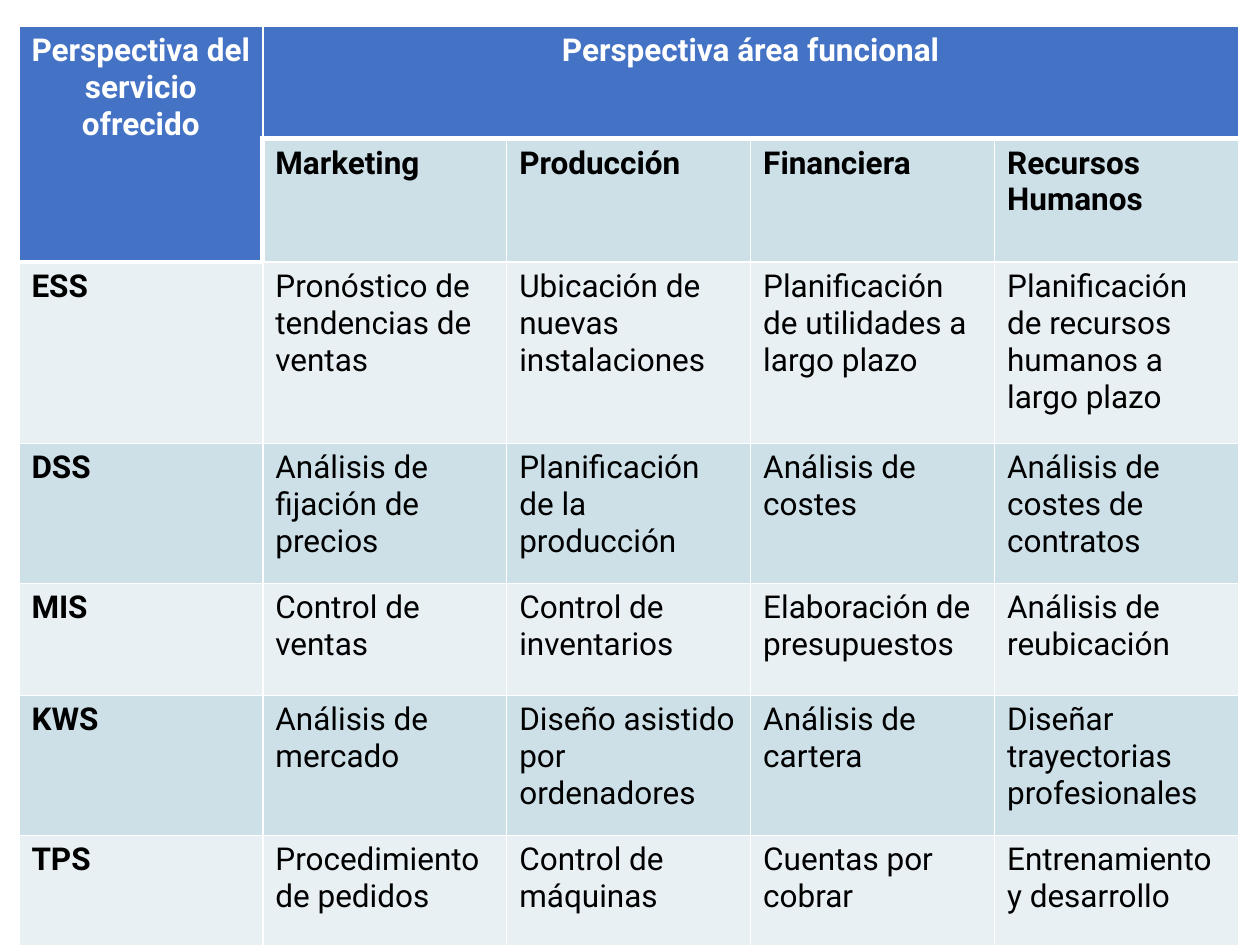
from lxml import etree
from pptx import Presentation
from pptx.dml.color import RGBColor
from pptx.enum import text
from pptx.oxml.ns import qn
from pptx.util import Inches, Pt

BLUE, LIGHT, PALE, WHITE, BLACK = "4472C4", "CDE0E8", "E8F0F4", "FFFFFF", "000000"


def rgb(value):
    return RGBColor.from_string(value)


def set_borders(cell, **widths):
    """Draw white borders, 1 pt unless a width is given for L, R, T or B."""
    properties = cell._tc.get_or_add_tcPr()
    for index, side in enumerate("LRTB"):
        line = etree.Element(qn(f"a:ln{side}"), w=str(Pt(widths.get(side, 1))))
        fill = etree.SubElement(line, qn("a:solidFill"))
        etree.SubElement(fill, qn("a:srgbClr"), val=WHITE)
        properties.insert(index, line)


rows = [
    ["Perspectiva del servicio ofrecido", "Perspectiva área funcional", "", "", ""],
    ["", "Marketing", "Producción", "Financiera", "Recursos Humanos"],
    ["ESS", "Pronóstico de tendencias de ventas", "Ubicación de nuevas instalaciones",
     "Planificación de utilidades a largo plazo",
     "Planificación de recursos humanos a largo plazo"],
    ["DSS", "Análisis de fijación de precios", "Planificación de la producción",
     "Análisis de costes", "Análisis de costes de contratos"],
    ["MIS", "Control de ventas", "Control de inventarios",
     "Elaboración de presupuestos", "Análisis de reubicación"],
    ["KWS", "Análisis de mercado", "Diseño asistido por ordenadores",
     "Análisis de cartera", "Diseñar trayectorias profesionales"],
    ["TPS", "Procedimiento de pedidos", "Control de máquinas",
     "Cuentas por cobrar", "Entrenamiento y desarrollo"],
]
row_heights = [0.89, 0.89, 1.44, 1.11, 0.89, 1.11, 0.89]

presentation = Presentation()
presentation.slide_width, presentation.slide_height = Inches(10), Inches(7.5)
slide = presentation.slides.add_slide(presentation.slide_layouts[6])

table = slide.shapes.add_table(len(rows), len(rows[0]), Inches(0.15), Inches(0.21),
                               Inches(9.68), Inches(sum(row_heights))).table
for column in table.columns:
    column.width = Inches(9.68 / len(rows[0]))
for row, height in zip(table.rows, row_heights):
    row.height = Inches(height)
table.cell(0, 0).merge(table.cell(1, 0))
table.cell(0, 1).merge(table.cell(0, 4))

for row_index, row in enumerate(rows):
    for column_index, wording in enumerate(row):
        cell = table.cell(row_index, column_index)
        is_header = row_index == 0 or (row_index == 1 and column_index == 0)
        cell.fill.solid()
        cell.fill.fore_color.rgb = rgb(BLUE if is_header else LIGHT if row_index % 2 else PALE)

        widths = {}
        if is_header:
            widths["B"] = 3
        elif row_index == 1 or (row_index == 2 and column_index == 0):
            widths["T"] = 3
        if (row_index, column_index) == (1, 1):
            widths["L"] = 3
        set_borders(cell, **widths)

        if wording:
            cell.text = wording
        paragraph = cell.text_frame.paragraphs[0]
        paragraph.alignment = text.PP_ALIGN.CENTER if is_header else text.PP_ALIGN.LEFT
        paragraph.font.name = "Roboto"
        paragraph.font.size = Pt(18)
        paragraph.font.bold = row_index < 2 or column_index == 0
        paragraph.font.color.rgb = rgb(WHITE if is_header else BLACK)

presentation.save("out.pptx")
